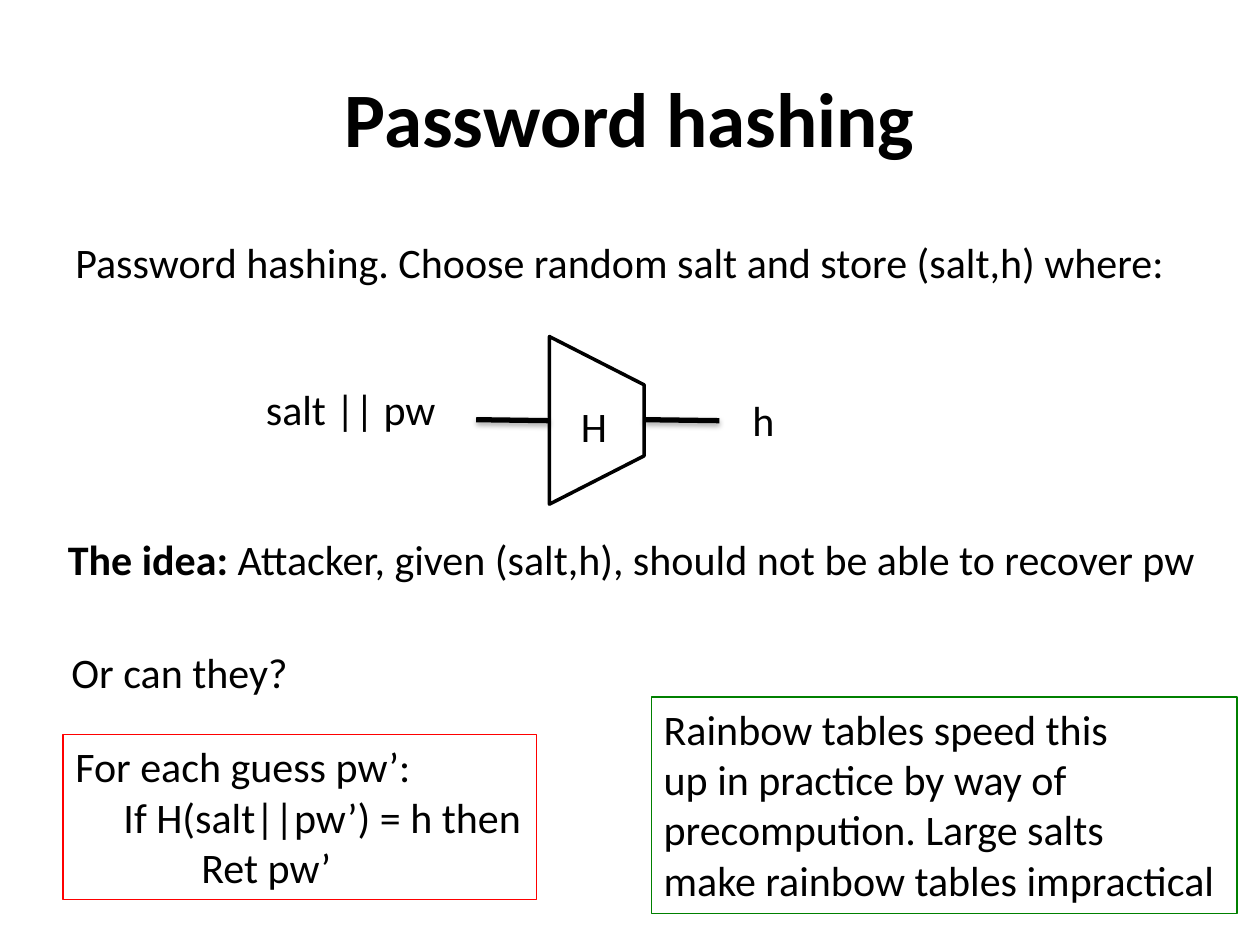
from lxml import etree
from pptx import Presentation
from pptx.dml.color import RGBColor
from pptx.enum.shapes import MSO_CONNECTOR, MSO_SHAPE
from pptx.enum.text import MSO_ANCHOR, MSO_AUTO_SIZE, PP_ALIGN
from pptx.oxml import parse_xml
from pptx.oxml.ns import nsdecls
from pptx.util import Cm, Pt

BLACK = RGBColor(0, 0, 0)
WHITE = RGBColor(255, 255, 255)
GREEN = RGBColor(0, 128, 0)
RED = RGBColor(255, 0, 0)
FONT = "Calibri"
CENTER = PP_ALIGN.CENTER
MIDDLE = MSO_ANCHOR.MIDDLE
GROW = MSO_AUTO_SIZE.SHAPE_TO_FIT_TEXT
TRAPEZOID = MSO_SHAPE.TRAPEZOID
STRAIGHT = MSO_CONNECTOR.STRAIGHT

SOFT_SHADOW = (
    f'<a:effectLst {nsdecls("a")}>'
    '<a:outerShdw blurRad="40000" dist="23000" dir="5400000" rotWithShape="0">'
    '<a:srgbClr val="000000"><a:alpha val="35000"/></a:srgbClr>'
    '</a:outerShdw></a:effectLst>'
)


def style_runs(paragraph, size, bold=False):
    for run in paragraph.runs:
        run.font.name = FONT
        run.font.size = Pt(size)
        run.font.bold = bold
        run.font.color.rgb = BLACK


def add_text(left, top, width, height, lines):
    """Add an unwrapped 24 pt text box with one paragraph per line."""
    box = slide.shapes.add_textbox(Cm(left), Cm(top), Cm(width), Cm(height))
    frame = box.text_frame
    frame.text = "\n".join(lines)
    frame.word_wrap = False
    frame.auto_size = GROW
    for paragraph in frame.paragraphs:
        style_runs(paragraph, 24)
    return box


prs = Presentation()
prs.slide_width, prs.slide_height = Cm(25.4), Cm(19.05)
slide = prs.slides.add_slide(prs.slide_layouts[5])

title = slide.shapes.title
title.left, title.top, title.width, title.height = Cm(1.27), Cm(0.76), Cm(22.86), Cm(3.18)
title.text_frame.text = "Password hashing"
title.text_frame.vertical_anchor = MIDDLE
title.text_frame.paragraphs[0].alignment = CENTER
style_runs(title.text_frame.paragraphs[0], 44, bold=True)

add_text(1.27, 4.65, 22.78, 1.28,
         ["Password hashing. Choose random salt and store (salt,h) where:"])

# Hash function with its input and output wires
hash_block = slide.shapes.add_shape(TRAPEZOID, Cm(10.34), Cm(7.52), Cm(3.38), Cm(1.91))
hash_block.rotation = 90
hash_block.adjustments[0] = 0.51
hash_block.shadow.inherit = False
hash_block.fill.solid()
hash_block.fill.fore_color.rgb = WHITE
hash_block.line.color.rgb = BLACK
hash_block.line.width = Pt(2)

for wire_right, wire_left in [(11.07, 9.6), (14.5, 13)]:
    wire = slide.shapes.add_connector(
        STRAIGHT, Cm(wire_right), Cm(8.48), Cm(wire_left), Cm(8.46))
    wire.line.color.rgb = BLACK
    wire.line.width = Pt(3)
    etree.ElementBase.append(wire._element.spPr, parse_xml(SOFT_SHADOW))

for label, left, top, width in [
    ("H", 11.46, 7.95, 1.04),
    ("salt || pw", 5.11, 7.6, 3.96),
    ("h", 14.92, 7.82, 0.97),
]:
    add_text(left, top, width, 1.28, [label])

idea = add_text(1.12, 10.64, 23.57, 1.28, ["The idea:"]).text_frame.paragraphs[0]
idea.add_run().text = " Attacker, given (salt,h), should not be able to recover pw"
style_runs(idea, 24)
idea.runs[0].font.bold = True

add_text(1.19, 12.9, 4.93, 1.28, ["Or can they?"])

rainbow_note = add_text(13.13, 14.05, 11.81, 4.37, [
    "Rainbow tables speed this",
    "up in practice by way of",
    "precompution. Large salts",
    "make rainbow tables impractical",
])
attack = add_text(1.27, 14.81, 9.55, 3.33, [
    "For each guess pw’:",
    "If H(salt||pw’) = h then",
    "Ret pw’",
])
for frame_box, color in [(rainbow_note, GREEN), (attack, RED)]:
    frame_box.line.color.rgb = color
    frame_box.line.width = Pt(0.75)

for paragraph, indent in zip(attack.text_frame.paragraphs, (0, 0.97, 2.54)):
    paragraph._p.get_or_add_pPr().set("marL", str(Cm(indent)))

prs.save("out.pptx")
